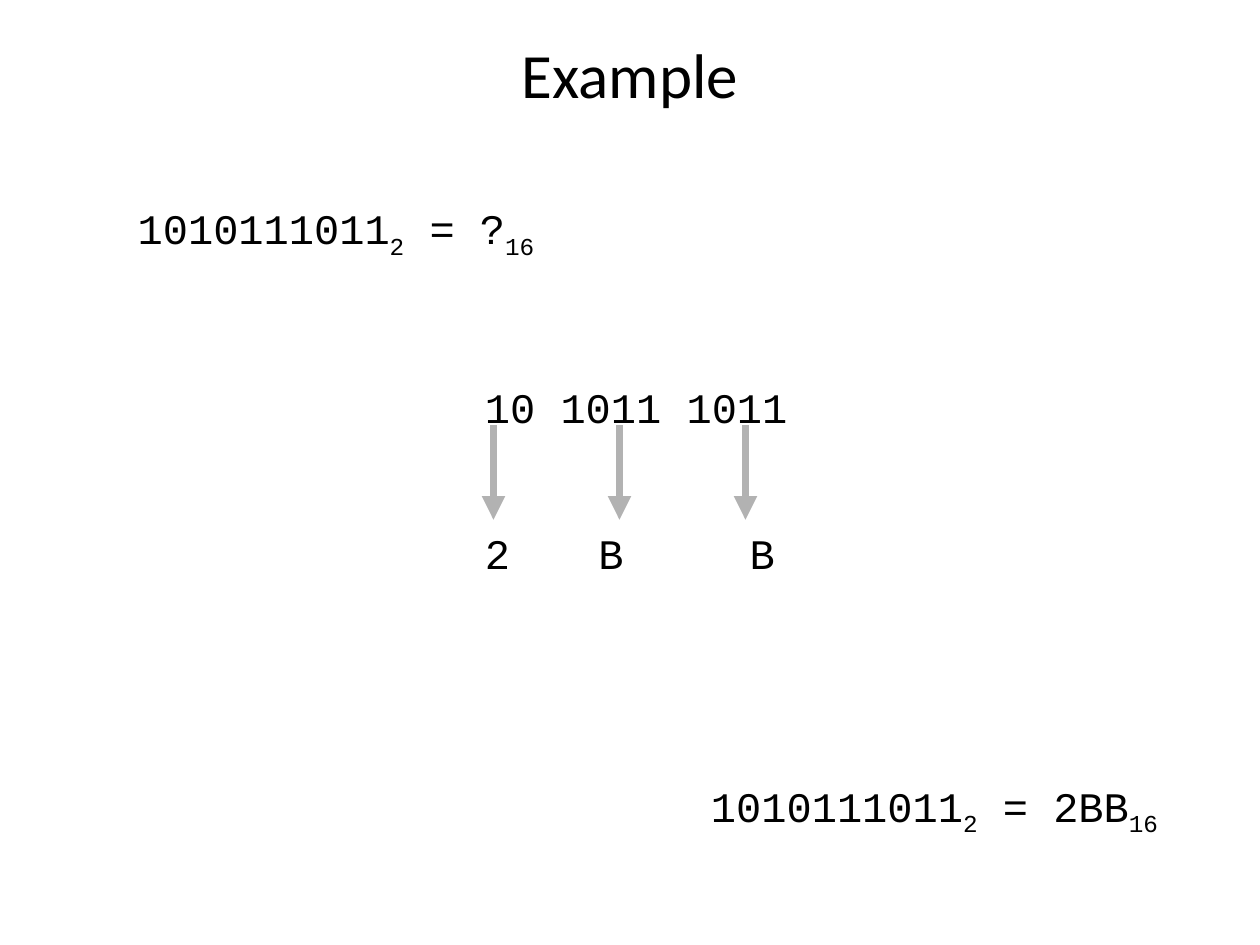
import pptx
import pptx.dml.color
import pptx.enum.shapes
import pptx.enum.text
import pptx.oxml.ns
import pptx.util
from lxml import etree

theme = {
    "ink": "000000", "arrow": "B2B2B2",
    "head": "Calibri", "code": "Courier New",
    "title": 36, "body": 24, "line": 4.5, "sub": -25000,
}
ALIGN = pptx.enum.text.PP_ALIGN
qn = pptx.oxml.ns.qn

deck = pptx.Presentation()
deck.slide_width = pptx.util.Inches(10)
deck.slide_height = pptx.util.Inches(7.5)
slide = deck.slides.add_slide(deck.slide_layouts[5])

# Grid of 120 columns by 90 rows, square cells
cell = deck.slide_width // 120


def write(par, text, font=theme["code"], size=theme["body"],
          align=ALIGN.LEFT, gap=0, tabs=()):
    """Fill a paragraph; text between underscores is set as subscript."""
    if tabs:
        stops = etree.SubElement(par._p.get_or_add_pPr(), qn("a:tabLst"))
        for stop in tabs:
            etree.SubElement(stops, qn("a:tab"), algn="l",
                             pos=str(pptx.util.Inches(stop)))
    par.alignment = align
    par.space_before = pptx.util.Pt(gap)
    for spot, part in enumerate(text.split("_")):
        if not part:
            continue
        run = par.add_run()
        run.text = part
        run.font.name = font
        run.font.size = pptx.util.Pt(size)
        run.font.color.rgb = pptx.dml.color.RGBColor.from_string(theme["ink"])
        if spot % 2:
            run.font._element.set("baseline", str(theme["sub"]))


def box(col, row, wide, high):
    """Add a wrapping text box on the grid and return its frame."""
    frame = slide.shapes.add_textbox(
        col * cell, row * cell, wide * cell, high * cell).text_frame
    frame.word_wrap = True
    frame.margin_top = pptx.util.Inches(0.11)
    return frame


# Title
title = slide.shapes.title
title.left, title.top = 9 * cell, 2 * cell
title.width, title.height = 102 * cell, 10 * cell
title.text_frame.vertical_anchor = pptx.enum.text.MSO_ANCHOR.MIDDLE
write(title.text_frame.paragraphs[0], "Example", font=theme["head"],
      size=theme["title"], align=ALIGN.CENTER)

# Question and answer
for col, row, text in ((4, 18, "1010111011_2_ = ?_16_"),
                       (61, 73, "1010111011_2_ = 2BB_16_")):
    write(box(col, row, 56, 6).paragraphs[0], text, align=ALIGN.CENTER)

# Groups of bits above their hex digits
work = box(45, 35, 56, 20.4)
write(work.paragraphs[0], "10 1011 1011")
write(work.add_paragraph(), "2\tB\tB", gap=55, tabs=(0.9, 2.1))

# Arrows from each group to its digit
for step in range(3):
    col = 47 + 12 * step
    arrow = slide.shapes.add_connector(
        pptx.enum.shapes.MSO_CONNECTOR.STRAIGHT,
        col * cell, int(40.5 * cell), col * cell, int(49.5 * cell))
    arrow.line.color.rgb = pptx.dml.color.RGBColor.from_string(theme["arrow"])
    arrow.line.width = pptx.util.Pt(theme["line"])
    etree.SubElement(arrow.line._get_or_add_ln(), qn("a:tailEnd"),
                     type="triangle")
    etree.SubElement(arrow._element.spPr, qn("a:effectLst"))

deck.save("out.pptx")
